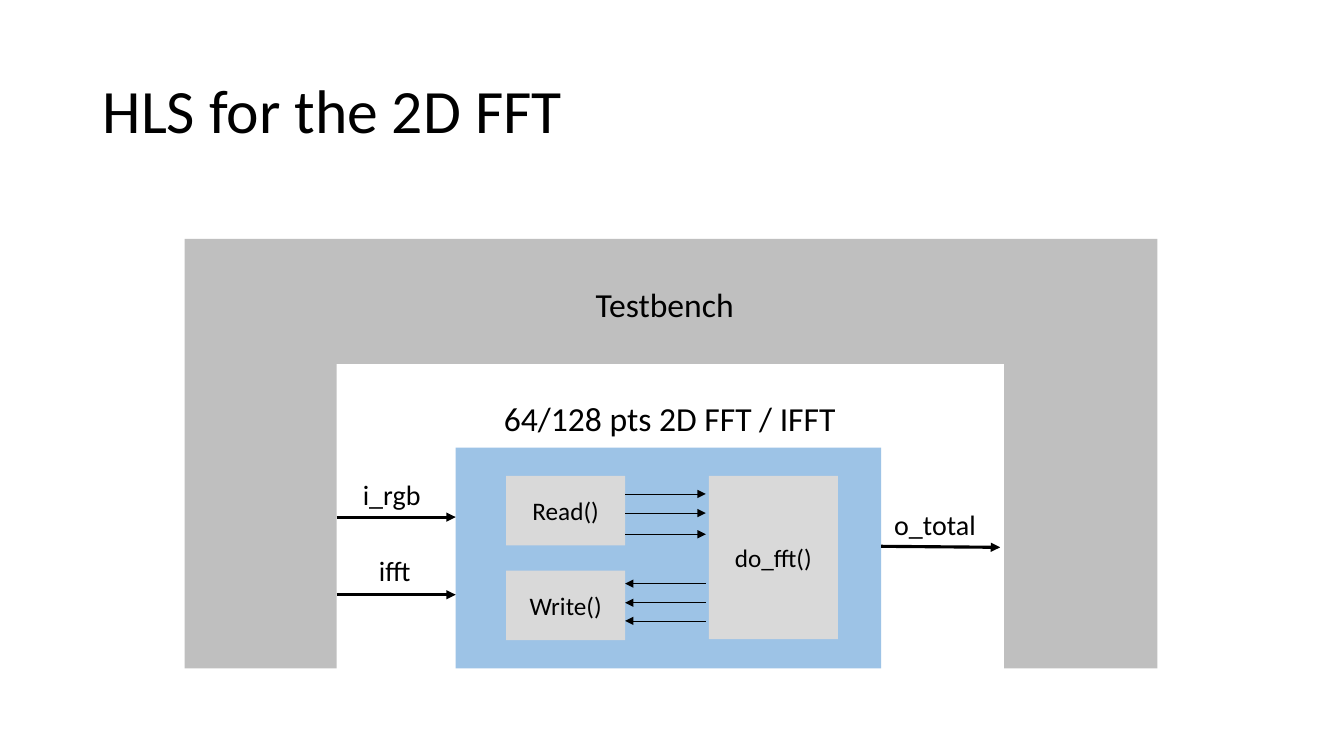
from lxml import etree
from pptx import Presentation
from pptx.dml.color import RGBColor
from pptx.enum.shapes import MSO_CONNECTOR, MSO_SHAPE
from pptx.enum.text import MSO_ANCHOR, MSO_AUTO_SIZE, PP_ALIGN
from pptx.oxml.ns import qn
from pptx.util import Pt

RECTANGLE = MSO_SHAPE.RECTANGLE
STRAIGHT = MSO_CONNECTOR.STRAIGHT
TOP, MIDDLE = MSO_ANCHOR.TOP, MSO_ANCHOR.MIDDLE
LEFT, CENTER = PP_ALIGN.LEFT, PP_ALIGN.CENTER
FIT_SHAPE, FIXED = MSO_AUTO_SIZE.SHAPE_TO_FIT_TEXT, MSO_AUTO_SIZE.NONE

PX = 9144
BLANK = 6
BLACK, BENCH_GRAY, CORE_BLUE, BLOCK_GRAY = "000000", "BFBFBF", "9DC3E6", "D9D9D9"


def px(*lengths):
    return [length * PX for length in lengths]


def color(hex_value):
    return RGBColor.from_string(hex_value)


def style(target, values):
    for name, value in values.items():
        setattr(target, name, value)


class Diagram:
    """Draws styled diagram elements on the current slide."""

    def __init__(self, slide, font="Calibri", ink=BLACK):
        self.shapes = slide.shapes
        self.font = font
        self.ink = ink

    def add_text(self, shape, text, size, frame_format, paragraph_format):
        frame = shape.text_frame
        style(frame, frame_format)
        paragraph = frame.paragraphs[0]
        style(paragraph, paragraph_format)
        run = paragraph.add_run()
        run.text = text
        style(run.font, {"name": self.font, "size": Pt(size)})
        run.font.color.rgb = color(self.ink)

    def paint(self, shape, fill):
        shape.shadow.inherit = False
        shape.fill.solid()
        shape.fill.fore_color.rgb = color(fill)
        shape.line.fill.background()

    def title(self, text, box, size=44):
        self.add_text(self.shapes.add_textbox(*px(*box)), text, size,
                      {"word_wrap": True, "auto_size": FIXED, "vertical_anchor": MIDDLE},
                      {"alignment": LEFT, "line_spacing": 0.9})

    def label(self, text, box, size):
        self.add_text(self.shapes.add_textbox(*px(*box)), text, size,
                      {"word_wrap": False, "auto_size": FIT_SHAPE, "vertical_anchor": TOP},
                      {"alignment": LEFT})

    def block(self, box, fill, text=None, size=18):
        block = self.shapes.add_shape(RECTANGLE, *px(*box))
        self.paint(block, fill)
        if text:
            self.add_text(block, text, size,
                          {"word_wrap": True, "vertical_anchor": MIDDLE},
                          {"alignment": CENTER})

    def outline(self, points, fill):
        builder = self.shapes.build_freeform(*points[0], scale=PX)
        builder.add_line_segments(points[1:], close=True)
        self.paint(builder.convert_to_shape(), fill)

    def arrow(self, start, end, weight):
        arrow = self.shapes.add_connector(STRAIGHT, *px(*start, *end))
        arrow.line.width = Pt(weight)
        arrow.line.color.rgb = color(self.ink)
        properties = arrow.element.spPr
        etree.SubElement(properties.find(qn("a:ln")), qn("a:tailEnd"), type="triangle")
        etree.SubElement(properties, qn("a:effectLst"))


def main():
    deck = Presentation()
    style(deck, dict(zip(("slide_width", "slide_height"), px(1333, 750))))
    diagram = Diagram(deck.slides.add_slide(deck.slide_layouts[BLANK]))

    diagram.title("HLS for the 2D FFT", (92, 40, 1150, 145))
    diagram.outline([(183, 237), (1148, 237), (1148, 663), (996, 663),
                     (996, 361), (334, 361), (334, 663), (183, 663)], BENCH_GRAY)
    diagram.label("Testbench", (581, 277, 159, 50), 24)

    diagram.block((452, 444, 422, 219), CORE_BLUE)
    diagram.label("64/128 pts 2D FFT / IFFT", (490, 390, 352, 50), 24)
    for function, top in (("Read()", 472), ("Write()", 566)):
        diagram.block((502, top, 118, 69), BLOCK_GRAY, function)
    diagram.block((703, 472, 128, 162), BLOCK_GRAY, "do_fft()")

    for read_y in (490, 509, 530):
        diagram.arrow((620, read_y), (700, read_y), 0.5)
    for write_y in (579, 598, 616):
        diagram.arrow((700, write_y), (620, write_y), 0.5)

    for signal, label_box, start, end in (
        ("i_rgb", (350, 469, 78, 44), (334, 513), (452, 513)),
        ("ifft", (366, 544, 53, 44), (334, 590), (452, 590)),
        ("o_total", (877, 499, 102, 44), (874, 542), (992, 543)),
    ):
        diagram.arrow(start, end, 2.25)
        diagram.label(signal, label_box, 20)

    deck.save("out.pptx")


if __name__ == "__main__":
    main()
